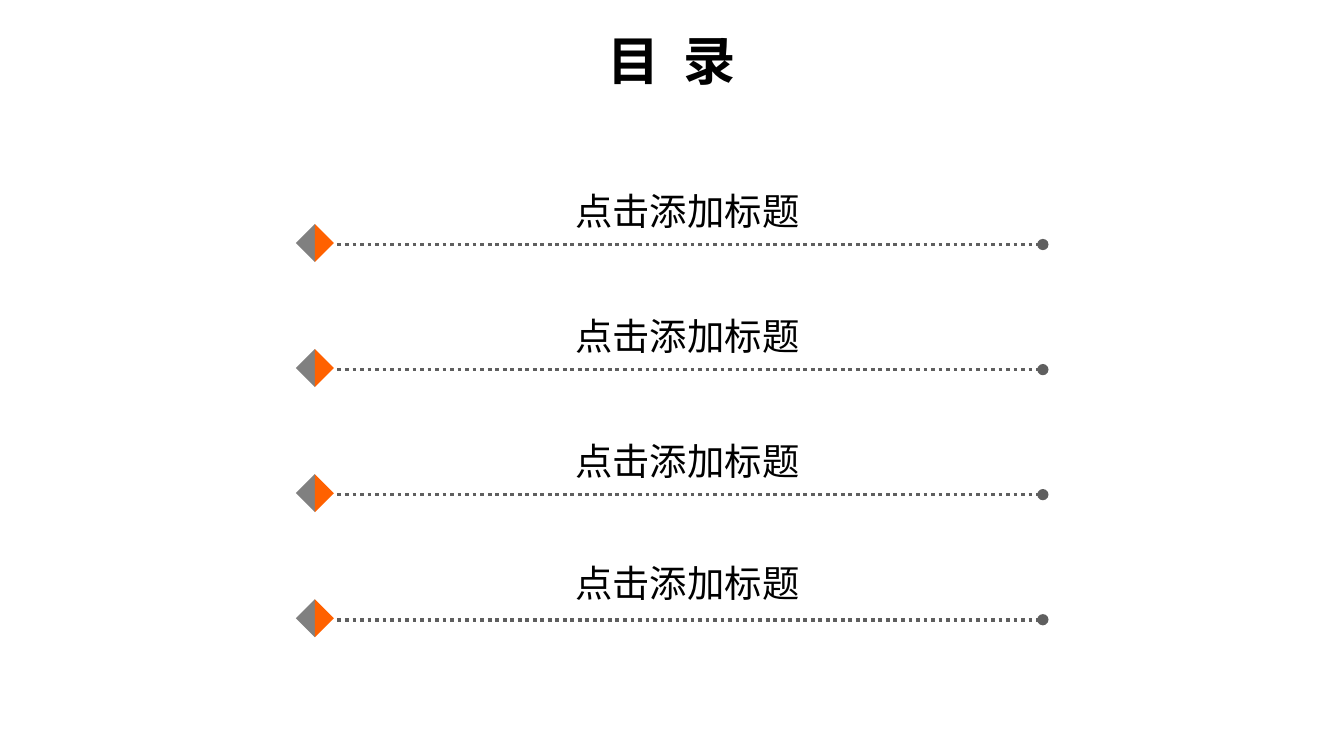
from lxml.etree import SubElement
from pptx import Presentation
from pptx.dml.color import RGBColor
from pptx.enum.dml import MSO_LINE
from pptx.enum.shapes import MSO_CONNECTOR, MSO_SHAPE
from pptx.enum.text import MSO_ANCHOR, MSO_AUTO_SIZE, PP_ALIGN
from pptx.oxml.ns import qn
from pptx.util import Pt

COLORS = {"text": "000000", "line": "5F5F5F", "gray": "808080", "orange": "FF6100"}
TITLE = ("目 ", "录")
TITLE_FONT = "Noto Sans CJK JP"
ENTRY_FONT = "Noto Sans CJK SC"
# Each entry: its label, and how far the label's box starts above the line
ENTRIES = [
    ("点击添加标题", 34),
    ("点击添加标题", 34),
    ("点击添加标题", 34),
    ("点击添加标题", 35.5),
]
# Each half of the diamond marker: colour and rotation
HALVES = [("gray", 45), ("orange", 225)]

FIRST_LINE, PITCH = 131, 67
LINE_LEFT, LINE_RIGHT = 180.8, 558.7
MARKER_LEFT, MARKER_RISE, MARKER_SIZE = 161.5, 8, 14.4


def rgb(name):
    return RGBColor.from_string(COLORS[name])


def add_text(shapes, spans, left, top, width, height, size, face, bold=False):
    box = shapes.add_textbox(Pt(left), Pt(top), Pt(width), Pt(height))
    frame = box.text_frame
    frame.word_wrap = True
    frame.auto_size = MSO_AUTO_SIZE.SHAPE_TO_FIT_TEXT
    frame.vertical_anchor = MSO_ANCHOR.MIDDLE
    para = frame.paragraphs[0]
    para.alignment = PP_ALIGN.CENTER
    para.font.size = Pt(size)
    para.font.bold = bold
    para.font.color.rgb = rgb("text")
    para.font.name = face
    defaults = para._p.pPr.find(qn("a:defRPr"))
    SubElement(defaults, qn("a:ea")).set("typeface", face)
    for text in spans:
        para.add_run().text = text
    return para


def add_dotted_line(shapes, y):
    line = shapes.add_connector(
        MSO_CONNECTOR.STRAIGHT, Pt(LINE_LEFT), Pt(y), Pt(LINE_RIGHT), Pt(y))
    line.line.color.rgb = rgb("line")
    line.line.width = Pt(2)
    line.line.dash_style = MSO_LINE.ROUND_DOT
    properties = line._element.spPr
    SubElement(properties.find(qn("a:ln")), qn("a:tailEnd")).set("type", "oval")
    SubElement(properties, qn("a:effectLst"))


def add_marker(shapes, y):
    for color, rotation in HALVES:
        half = shapes.add_shape(
            MSO_SHAPE.RIGHT_TRIANGLE, Pt(MARKER_LEFT), Pt(y - MARKER_RISE),
            Pt(MARKER_SIZE), Pt(MARKER_SIZE))
        half.rotation = rotation
        half.shadow.inherit = False
        half.fill.solid()
        half.fill.fore_color.rgb = rgb(color)
        half.line.fill.background()


def main():
    deck = Presentation()
    deck.slide_width, deck.slide_height = Pt(720), Pt(405)
    page = deck.slides.add_slide(deck.slide_layouts[6])

    title = add_text(page.shapes, TITLE, 212.4, 11.5, 294.5, 41, 28, TITLE_FONT, bold=True)
    # Letter spacing, in hundredths of a point, widens the gap in the title
    title.runs[0].font._element.set("spc", "310")

    for row, (label, rise) in enumerate(ENTRIES):
        y = FIRST_LINE + row * PITCH
        entry = page.shapes.add_group_shape().shapes
        add_dotted_line(entry, y)
        add_marker(entry, y)
        add_text(entry, [label], 178.6, y - rise, 379.4, 31.7, 20, ENTRY_FONT)

    deck.save("out.pptx")


if __name__ == "__main__":
    main()
